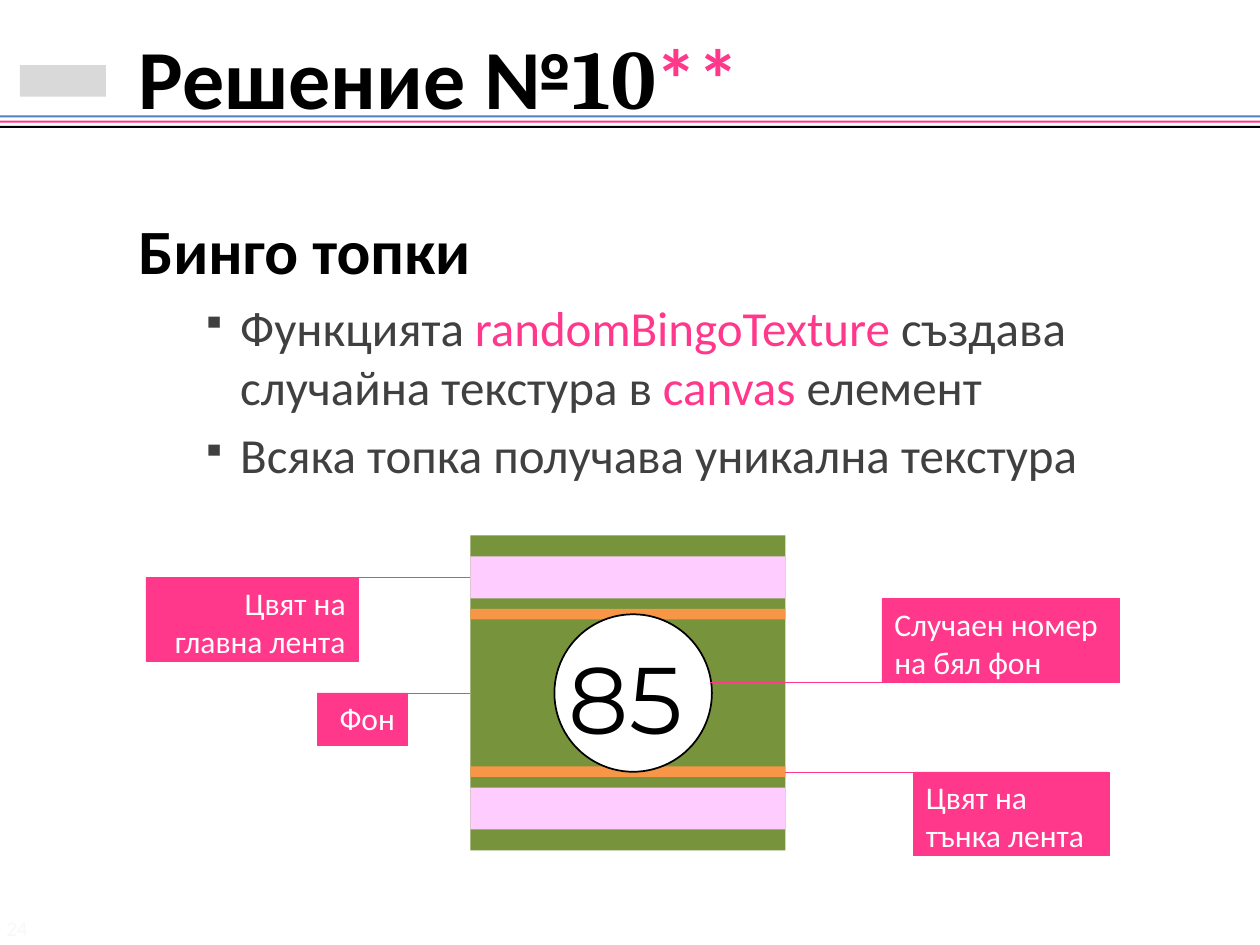
from typing import NamedTuple

from lxml.etree import SubElement
from pptx import Presentation
from pptx.dml.color import RGBColor
from pptx.enum.shapes import MSO_CONNECTOR, MSO_SHAPE
from pptx.enum.text import MSO_ANCHOR, PP_ALIGN
from pptx.oxml.ns import qn
from pptx.util import Pt

PX = 7620  # 120 px to the inch
COLORS = {
    "blue": "4F81BD", "pink": "FF388C", "black": "000000", "white": "FFFFFF",
    "gray": "404040", "pale": "F8F8F8", "silver": "D9D9D9",
    "green": "77933C", "rose": "FFCCFF", "orange": "F79646",
}
TITLE_FONT = {"name": "Calibri", "size": Pt(48), "bold": True}
HEADING_FONT = {"name": "Calibri", "size": Pt(36), "bold": True}
BULLET_FONT = {"name": "Calibri", "size": Pt(28), "bold": False}
LABEL_FONT = {"name": "Calibri", "size": Pt(18)}
NUMBER_FONT = {"name": "Montserrat", "size": Pt(54)}
PAGE_FONT = {"name": "Calibri", "size": Pt(12)}


class Box(NamedTuple):
    left: int
    top: int
    width: int
    height: int


class Part(NamedTuple):
    text: str
    color: str
    font: str = ""


class Band(NamedTuple):
    top: int
    height: int
    color: str


class Callout(NamedTuple):
    text: str
    box: Box
    line_start: int
    line_end: int
    line_top: int
    align: PP_ALIGN


TEXTURE = Box(448, 510, 300, 300)
TEXTURE_RIGHT = TEXTURE.left + TEXTURE.width
BANDS = [
    Band(TEXTURE.top, TEXTURE.height, "green"),
    Band(530, 40, "rose"),
    Band(750, 40, "rose"),
    Band(580, 10, "orange"),
    Band(730, 10, "orange"),
]
CALLOUTS = [
    Callout("Фон", Box(302, 660, 86, 50), 302, TEXTURE.left, 660, PP_ALIGN.RIGHT),
    Callout("Цвят на главна лента", Box(139, 550, 202, 80), 139, TEXTURE.left, 550, PP_ALIGN.RIGHT),
    Callout("Цвят на тънка лента", Box(870, 735, 186, 80), TEXTURE_RIGHT, 1056, 735, PP_ALIGN.LEFT),
    Callout("Случаен номер на бял фон", Box(840, 570, 226, 80), 676, 1066, 650, PP_ALIGN.LEFT),
]
BULLETS = [
    [
        Part("Функцията ", "gray"),
        Part("randomBingoTexture", "pink"),
        Part(" създава случайна текстура в ", "gray"),
        Part("canvas", "pink"),
        Part(" елемент", "gray"),
    ],
    [Part("Всяка топка получава уникална текстура", "gray")],
]


def rgb(color: str) -> RGBColor:
    return RGBColor.from_string(COLORS[color])


def scaled(box: tuple) -> list[int]:
    return [length * PX for length in box]


def add_figure(slide, box: Box, fill: str, line: str = "", line_width: float = 1,
               kind=MSO_SHAPE.RECTANGLE):
    shape = slide.shapes.add_shape(kind, *scaled(box))
    shape.shadow.inherit = False
    shape.fill.solid()
    shape.fill.fore_color.rgb = rgb(fill)
    if line:
        shape.line.color.rgb = rgb(line)
        shape.line.width = Pt(line_width)
    else:
        shape.line.fill.background()
    return shape


def add_text_frame(slide, box: Box, wrap: bool = True):
    frame = slide.shapes.add_textbox(*scaled(box)).text_frame
    frame.word_wrap = wrap
    return frame


def write(paragraph, parts: list[Part], font: dict) -> None:
    for part in parts:
        run = paragraph.add_run()
        run.text = part.text
        for name, value in font.items():
            setattr(run.font, name, value)
        if part.font:
            run.font.name = part.font
        run.font.color.rgb = rgb(part.color)


def indent(paragraph, left: int, first: int) -> None:
    properties = paragraph._p.get_or_add_pPr()
    properties.set("marL", str(left * PX))
    properties.set("indent", str(first * PX))


def add_bullet(paragraph) -> None:
    indent(paragraph, 97, -37)
    properties = paragraph._p.get_or_add_pPr()
    color = SubElement(properties, qn("a:buClr"))
    SubElement(color, qn("a:srgbClr"), val=COLORS["gray"])
    SubElement(properties, qn("a:buSzPct"), val="70000")
    SubElement(properties, qn("a:buChar"), char="▪")


def add_callout(slide, callout: Callout) -> None:
    shape = add_figure(slide, callout.box, "pink", "pink", 0.25)
    frame = shape.text_frame
    frame.word_wrap = True
    frame.vertical_anchor = MSO_ANCHOR.TOP
    paragraph = frame.paragraphs[0]
    paragraph.alignment = callout.align
    write(paragraph, [Part(callout.text, "white")], LABEL_FONT)
    line = slide.shapes.add_connector(MSO_CONNECTOR.STRAIGHT, *scaled(
        (callout.line_start, callout.line_top, callout.line_end, callout.line_top)))
    line.line.color.rgb = rgb("pink")
    line.line.width = Pt(0.25)
    SubElement(line._element.spPr, qn("a:effectLst"))


def add_header(slide) -> None:
    add_figure(slide, Box(19, 62, 82, 30), "silver")
    for index, color in enumerate(("blue", "pink", "black")):
        add_figure(slide, Box(0, 110 + 5 * index, 1200, 2), color)
    frame = add_text_frame(slide, Box(0, 30, 1200, 85))
    frame.vertical_anchor = MSO_ANCHOR.MIDDLE
    indent(frame.paragraphs[0], 120, 0)
    write(frame.paragraphs[0], [
        Part("Решение №", "black"),
        Part("10", "black", "Cambria"),
        Part("**", "pink"),
    ], TITLE_FONT)


def add_body(slide) -> None:
    frame = add_text_frame(slide, Box(120, 160, 1070, 730))
    heading = frame.paragraphs[0]
    heading.line_spacing = 1.5
    write(heading, [Part("Бинго топки", "black")], HEADING_FONT)
    for parts in BULLETS:
        paragraph = frame.add_paragraph()
        paragraph.level = 1
        add_bullet(paragraph)
        paragraph.space_before = Pt(5.6)
        write(paragraph, parts, BULLET_FONT)


def add_texture(slide) -> None:
    for band in BANDS:
        add_figure(slide, Box(TEXTURE.left, band.top, TEXTURE.width, band.height), band.color)
    add_figure(slide, Box(528, 585, 150, 150), "white", "black", kind=MSO_SHAPE.OVAL)
    number = add_text_frame(slide, Box(530, 604, 145, 121), wrap=False)
    write(number.paragraphs[0], [Part("85", "black")], NUMBER_FONT)


def main() -> None:
    presentation = Presentation()
    presentation.slide_width = 1200 * PX
    presentation.slide_height = 900 * PX
    slide = presentation.slides.add_slide(presentation.slide_layouts[6])
    add_header(slide)
    add_body(slide)
    add_texture(slide)
    for callout in CALLOUTS:
        add_callout(slide, callout)
    page = add_text_frame(slide, Box(0, 866, 60, 34))
    page.margin_left = 6 * PX
    write(page.paragraphs[0], [Part("24", "pale")], PAGE_FONT)
    presentation.save("out.pptx")


if __name__ == "__main__":
    main()
